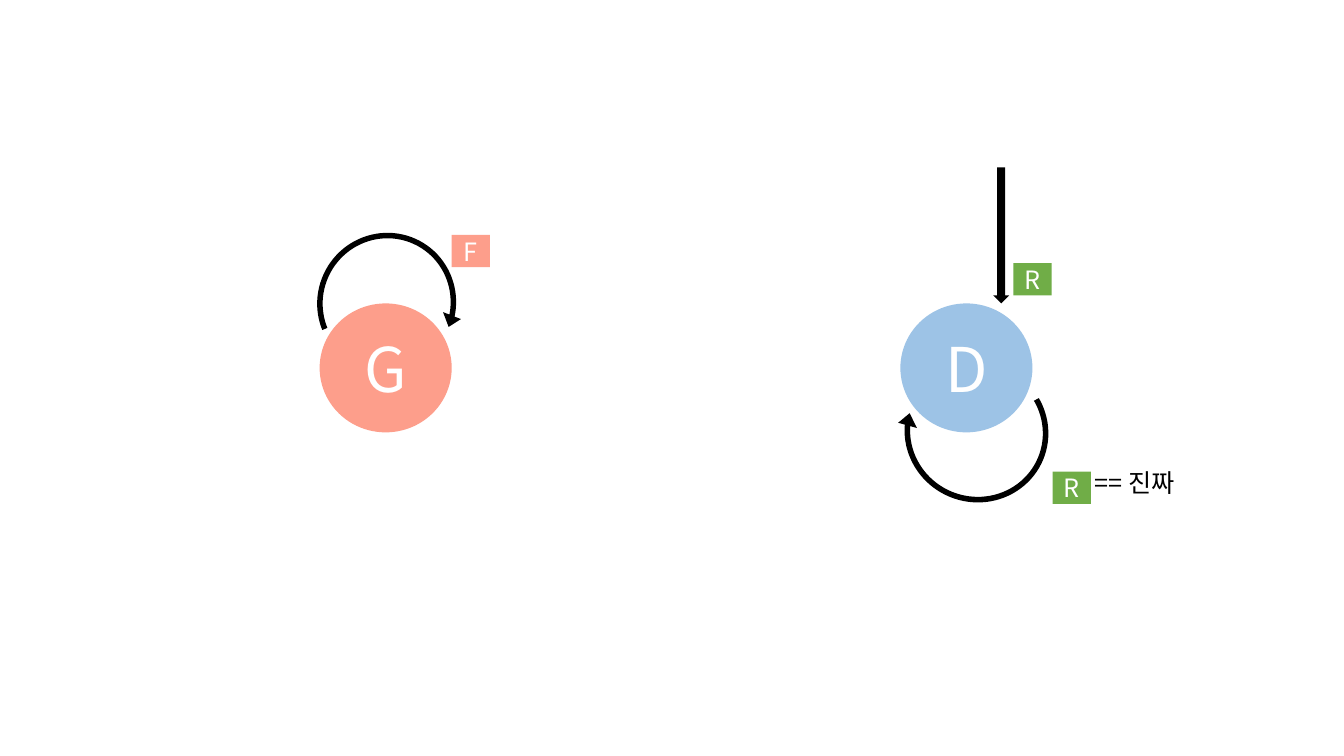
from pptx import Presentation
from pptx.dml.color import RGBColor
from pptx.enum.shapes import MSO_SHAPE
from pptx.enum.text import MSO_ANCHOR, MSO_AUTO_SIZE, PP_ALIGN
from pptx.oxml.ns import qn
from pptx.util import Inches, Pt
from lxml.etree import SubElement

FONT = "Noto Sans CJK KR"
COLORS = {
    "coral": "FD9E8B",
    "blue": "9DC3E6",
    "green": "70AD47",
    "black": "000000",
    "white": "FFFFFF",
}
LOOP_ADJUSTMENTS = (0.036, 6.126, 205.777, 77.388, 0.063)


def write(sp, text, size, color):
    p = sp.text_frame.paragraphs[0]
    r = p.add_run()
    r.text = text
    r.font.name = FONT
    r.font.size = Pt(size)
    r.font.color.rgb = RGBColor.from_string(COLORS[color])
    SubElement(r.font._element, qn("a:ea"), typeface=FONT)
    return p


def add_solid(kind, box, color, text="", size=18):
    """Add a borderless shape with optional centred white text."""
    sp = s.shapes.add_shape(kind, *map(Inches, box))
    sp.shadow.inherit = False
    sp.fill.solid()
    sp.fill.fore_color.rgb = RGBColor.from_string(COLORS[color])
    sp.line.fill.background()
    if text:
        sp.text_frame.vertical_anchor = MSO_ANCHOR.MIDDLE
        write(sp, text, size, "white").alignment = PP_ALIGN.CENTER
    return sp


prs = Presentation()
prs.slide_width, prs.slide_height = Inches(13.33), Inches(7.5)
s = prs.slides.add_slide(prs.slide_layouts[6])

# Generator and discriminator
for text, left, color in (("G", 3.17, "coral"), ("D", 8.93, "blue")):
    add_solid(MSO_SHAPE.OVAL, (left, 3.01, 1.31, 1.28), color, text, 44)

# Training loops and the incoming real data
for box, rotation in (((3.08, 2.24, 1.51, 1.53), 28.1),
                      ((8.9, 3.52, 1.57, 1.53), 202.5)):
    loop = add_solid(MSO_SHAPE.CIRCULAR_ARROW, box, "black")
    loop.rotation = rotation
    for i, value in enumerate(LOOP_ADJUSTMENTS):
        loop.adjustments[i] = value
add_solid(MSO_SHAPE.DOWN_ARROW, (9.85, 1.66, 0.16, 1.35), "black")

# Data tags: F for fake, R for real
for text, left, top, color in (("F", 4.48, 2.33, "coral"),
                               ("R", 10.05, 2.61, "green"),
                               ("R", 10.44, 4.68, "green")):
    add_solid(MSO_SHAPE.RECTANGLE, (left, top, 0.38, 0.32), color, text)

verdict = s.shapes.add_textbox(*map(Inches, (10.76, 4.59, 1.16, 0.4)))
verdict.text_frame.word_wrap = True
verdict.text_frame.auto_size = MSO_AUTO_SIZE.SHAPE_TO_FIT_TEXT
write(verdict, "== 진짜", 18, "black")

prs.save("out.pptx")
